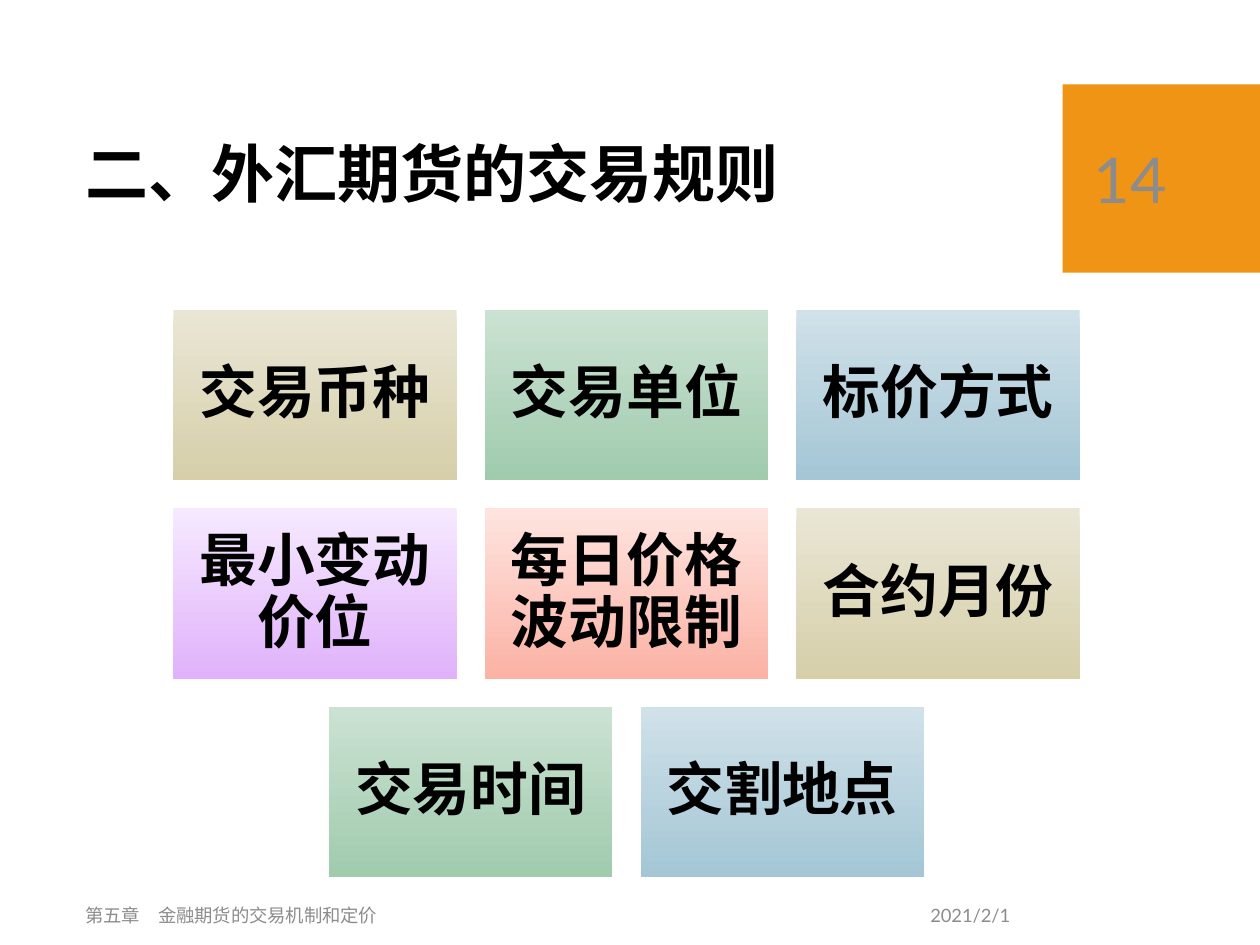
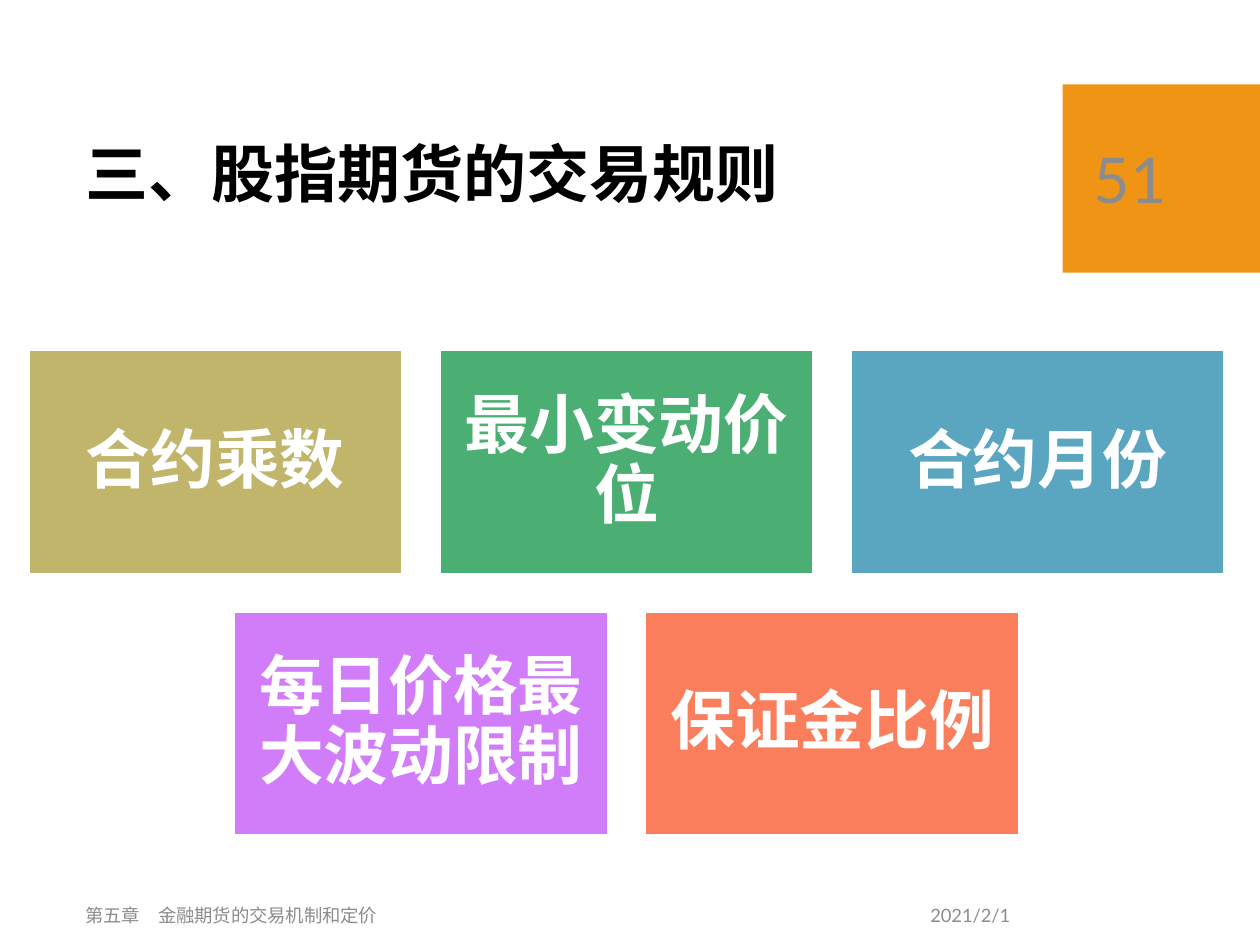
import pptx
import pptx.util
import pptx.dml.color
import pptx.enum.lang
import pptx.enum.shapes
import pptx.enum.text

Cm, Pt = pptx.util.Cm, pptx.util.Pt
PP_ALIGN = pptx.enum.text.PP_ALIGN
RECT = pptx.enum.shapes.MSO_SHAPE.RECTANGLE

COLORS = {"orange": "F09415", "black": "000000", "white": "FFFFFF", "grey": "8C8C8C"}
ACCENTS = ["C1B56B", "4BAF73", "5AA6C0", "D17DF9", "FA7E5C"]
GRADIENTS = [("EAE6D5", "D6CFAA"), ("CBE2D2", "A0CBAD"), ("D0E1E9", "A4C6D5"),
             ("F6E9FE", "E0B2FB"), ("FEE4DF", "FCB2A5")]
CENTER_X = 12.63
COLUMNS = 3

# Box grids in cm, one per slide
SLIDES = [
    {"title": "二、外汇期货的交易规则", "number": "14",
     "boxes": ["交易币种", "交易单位", "标价方式", "最小变动价位",
               "每日价格波动限制", "合约月份", "交易时间", "交割地点"],
     "top": 6.25, "width": 5.71, "height": 3.43, "gap": 0.57,
     "inset": 0.36, "size": 33, "color": "black", "gradient": True},
    {"title": "三、股指期货的交易规则", "number": "51",
     "boxes": ["合约乘数", "最小变动价位", "合约月份", "每日价格最大波动限制", "保证金比例"],
     "top": 7.06, "width": 7.54, "height": 4.52, "gap": 0.75,
     "inset": 0.38, "size": 37, "color": "white", "gradient": False},
]
FOOTER = "第五章　金融期货的交易机制和定价"
DATE = "2021/2/1"


def rgb(value):
    return pptx.dml.color.RGBColor.from_string(value)


def set_text(sp, text, size, color, bold=False, align=PP_ALIGN.LEFT, spacing=None):
    tf = sp.text_frame
    tf.text = text
    tf.word_wrap = True
    tf.auto_size = pptx.enum.text.MSO_AUTO_SIZE.NONE
    tf.vertical_anchor = pptx.enum.text.MSO_ANCHOR.MIDDLE
    p = tf.paragraphs[0]
    p.alignment = align
    p.line_spacing = spacing
    p.font.name = "Lato"
    p.font.size = Pt(size)
    p.font.bold = bold
    p.font.color.rgb = rgb(COLORS[color])
    p.runs[0].font.language_id = pptx.enum.lang.MSO_LANGUAGE_ID.SIMPLIFIED_CHINESE


prs = pptx.Presentation()
prs.slide_width, prs.slide_height = Cm(25.4), Cm(19.05)

for data in SLIDES:
    s = prs.slides.add_slide(prs.slide_layouts[5])

    # Number band at the right edge
    band = s.shapes.add_shape(RECT, Cm(21.42), Cm(1.7), Cm(3.98), Cm(3.8))
    band.shadow.inherit = False
    band.fill.solid()
    band.fill.fore_color.rgb = rgb(COLORS["orange"])
    band.line.fill.background()

    # Title
    title = s.shapes.title
    title.left, title.top, title.width, title.height = Cm(1.47), Cm(2.08), Cm(19.15), Cm(3)
    set_text(title, data["title"], 36, "black", bold=True, spacing=0.9)

    # Rows of boxes, each row centred
    w, h, gap = data["width"], data["height"], data["gap"]
    for i, label in enumerate(data["boxes"]):
        row, col = divmod(i, COLUMNS)
        in_row = min(COLUMNS, len(data["boxes"]) - row * COLUMNS)
        left = CENTER_X - (in_row * (w + gap) - gap) / 2 + col * (w + gap)
        top = data["top"] + row * (h + gap)
        sp = s.shapes.add_shape(RECT, Cm(left), Cm(top), Cm(w), Cm(h))
        sp.shadow.inherit = False
        if data["gradient"]:
            sp.fill.gradient()
            sp.fill.gradient_angle = 270
            for stop, color in zip(sp.fill.gradient_stops, GRADIENTS[i % len(GRADIENTS)]):
                stop.color.rgb = rgb(color)
            sp.line.fill.background()
        else:
            sp.fill.solid()
            sp.fill.fore_color.rgb = rgb(ACCENTS[i % len(ACCENTS)])
            sp.line.color.rgb = rgb(COLORS["white"])
            sp.line.width = Pt(1.5)
        tf = sp.text_frame
        tf.margin_left = tf.margin_right = tf.margin_top = tf.margin_bottom = Cm(data["inset"])
        set_text(sp, label, data["size"], data["color"], bold=True,
                 align=PP_ALIGN.CENTER, spacing=0.9)

    # Footer, slide number and date
    for text, left, top, width, height, size, align in [
        (FOOTER, 1.47, 17.93, 13.44, 1.02, 10.5, PP_ALIGN.LEFT),
        (data["number"], 21.8, 2.08, 3.23, 3.02, 36, PP_ALIGN.LEFT),
        (DATE, 14.91, 17.93, 5.71, 1.02, 10.5, PP_ALIGN.RIGHT),
    ]:
        sp = s.shapes.add_textbox(Cm(left), Cm(top), Cm(width), Cm(height))
        set_text(sp, text, size, "grey", align=align)

prs.save("out.pptx")
